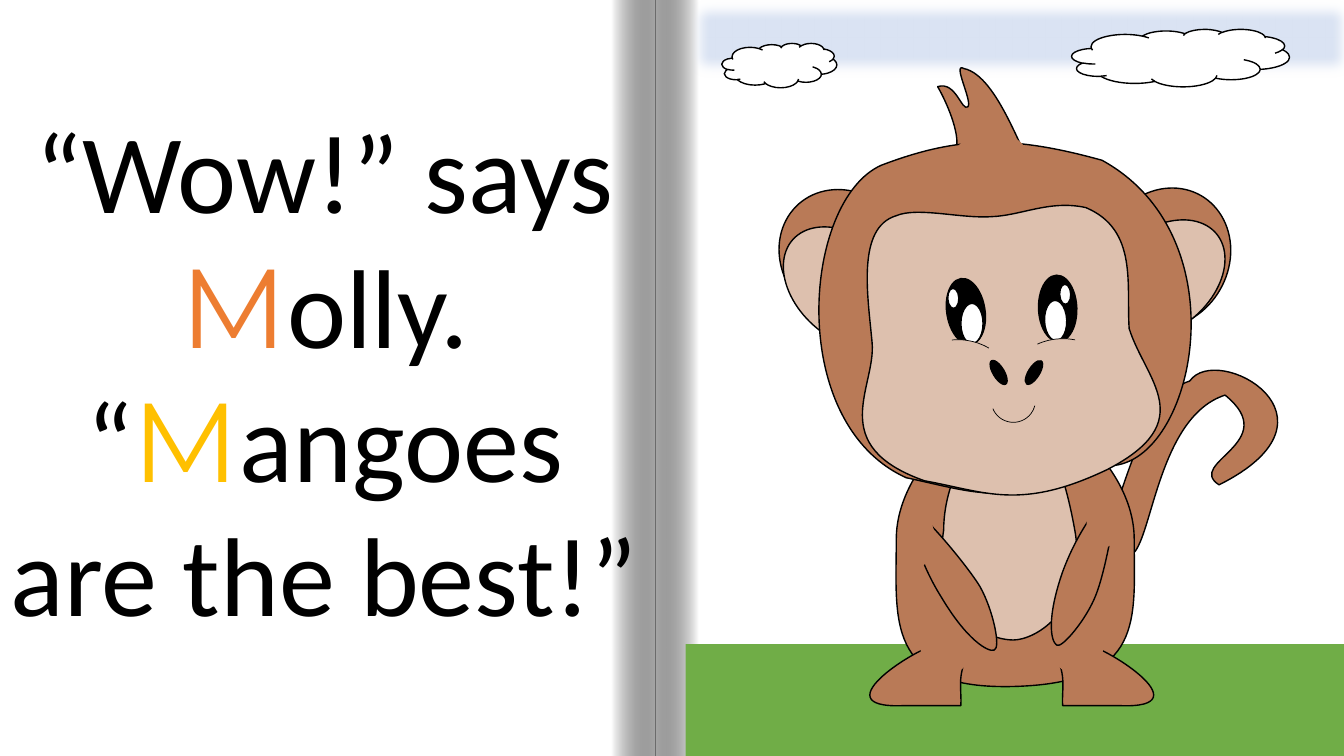
import dataclasses
import functools
import math

import lxml.etree
import pptx
import pptx.dml.color
import pptx.enum.shapes
import pptx.enum.text
import pptx.oxml.ns
import pptx.util

Inches = pptx.util.Inches
Kind = pptx.enum.shapes.MSO_SHAPE
qn = pptx.oxml.ns.qn


@dataclasses.dataclass(frozen=True)
class Theme:
    """Colours, fonts and sizes of the book."""
    black: str = "000000"
    white: str = "FFFFFF"
    sky: str = "DAE3F3"
    grass: str = "70AD47"
    fur: str = "B97A57"
    skin: str = "DDC0AE"
    orange: str = "ED7D31"
    mango: str = "FFC000"
    body_font: str = "Calibri"
    letter_font: str = "Montserrat"
    story_size: int = 80
    ink: float = 1
    fine_ink: float = 0.5


THEME = Theme()


def rgb(color):
    """Return the colour object of a hex string."""
    return pptx.dml.color.RGBColor.from_string(color)


def paint(part, color, edge=None, weight=THEME.ink):
    """Give a part a flat fill, an outline or none, and no shadow."""
    part.shadow.inherit = False
    if color:
        part.fill.solid()
        part.fill.fore_color.rgb = rgb(color)
    else:
        part.fill.background()
    if edge:
        part.line.color.rgb = rgb(edge)
        part.line.width = pptx.util.Pt(weight)
    else:
        part.line.fill.background()
    return part


def preset(shapes, origin, place, kind, color, edge=None, turn=0, weight=THEME.ink):
    """Add a preset shape at a place measured from the origin."""
    left, top, width, height = place
    part = shapes.add_shape(kind, Inches(origin[0] + left), Inches(origin[1] + top),
                            Inches(width), Inches(height))
    part.rotation = turn
    return paint(part, color, edge, weight)


def arc(shapes, origin, place, turn, start, end, color=None):
    """Add a fine arc with its two angle adjustments."""
    curve = preset(shapes, origin, place, Kind.ARC, color, THEME.black, turn, THEME.fine_ink)
    curve.adjustments[0], curve.adjustments[1] = start, end


def unturn(point, place, turn):
    """Turn a point back about the middle of its place, measured from the place's corner."""
    left, top, width, height = place
    x, y = point[0] - left - width / 2, point[1] - top - height / 2
    cos, sin = math.cos(math.radians(turn)), math.sin(math.radians(turn))
    return Inches(x * cos + y * sin + width / 2), Inches(y * cos - x * sin + height / 2)


def outline(shapes, origin, place, turn, steps, color, edge=THEME.black):
    """Add a closed outline of corners and cubic curves, turned within its place."""
    local = [[unturn(step[i:i + 2], place, turn) for i in range(0, len(step), 2)] for step in steps]
    builder = shapes.build_freeform(*local[0][0])
    builder.add_line_segments([knots[-1] for knots in local[1:]], close=True)
    part = builder.convert_to_shape()
    left, top, width, height = place
    part.left, part.top = Inches(origin[0] + left), Inches(origin[1] + top)
    part.width, part.height = Inches(width), Inches(height)
    part.rotation = turn % 360
    path = part._element.spPr.find(".//" + qn("a:path"))
    path.set("w", str(Inches(width)))
    path.set("h", str(Inches(height)))
    for segment in list(path):
        path.remove(segment)
    for index, knots in enumerate(local):
        tag = "a:moveTo" if index == 0 else "a:lnTo" if len(knots) == 1 else "a:cubicBezTo"
        segment = lxml.etree.SubElement(path, qn(tag))
        for x, y in knots:
            lxml.etree.SubElement(segment, qn("a:pt"), x=str(x), y=str(y))
    lxml.etree.SubElement(path, qn("a:close"))
    paint(part, color, edge)


def mirror(place, turn, steps, axis=10.035):
    """Reflect an outline across the middle of the body."""
    left, top, width, height = place
    reflected = [tuple(2 * axis - n if i % 2 == 0 else n for i, n in enumerate(step)) for step in steps]
    return (2 * axis - left - width, top, width, height), -turn, reflected


def draw_paper(slide, box):
    """Draw the white spread with the shaded fold in its middle."""
    left, top, width, height = box
    shapes = slide.shapes.add_group_shape().shapes
    preset(shapes, (left, top), (0, 0, width, height), Kind.RECTANGLE, THEME.white)
    fold, shade = 6.51, 0.43
    for offset, angle in ((fold, 180), (fold - shade, 0)):
        side = preset(shapes, (left, top), (offset, 0, shade, height), Kind.RECTANGLE, THEME.white)
        side.fill.gradient()
        side.fill.gradient_angle = angle
        for stop, color, position in zip(side.fill.gradient_stops, (THEME.white, THEME.black), (0, 1)):
            stop.color.rgb = rgb(color)
            stop.position = position
        dark = side._element.spPr.findall(qn("a:gradFill") + "//" + qn("a:srgbClr"))[-1]
        lxml.etree.SubElement(dark, qn("a:alpha"), val="34000")


def write_story(slide, box):
    """Write the story with its coloured initials."""
    story = slide.shapes.add_textbox(*map(Inches, box)).text_frame
    story.word_wrap = True
    story.auto_size = pptx.enum.text.MSO_AUTO_SIZE.SHAPE_TO_FIT_TEXT
    sentence = story.paragraphs[0]
    sentence.alignment = pptx.enum.text.PP_ALIGN.CENTER
    for words, font, color in (
            ("“Wow!” says ", THEME.body_font, THEME.black),
            ("M", THEME.letter_font, THEME.orange),
            ("olly. “", THEME.body_font, THEME.black),
            ("M", THEME.letter_font, THEME.mango),
            ("angoes are the best!”", THEME.body_font, THEME.black)):
        run = sentence.add_run()
        run.text = words
        run.font.size = pptx.util.Pt(THEME.story_size)
        run.font.name = font
        run.font.color.rgb = rgb(color)


def draw_scenery(slide, box):
    """Draw the sky, two clouds and the grass."""
    left, top, width, height = box
    add = functools.partial(preset, slide.shapes, (left, top))
    sky = add((0, -0.05, width, 0.85), Kind.RECTANGLE, THEME.sky, THEME.sky)
    effects = sky._element.spPr.find(qn("a:effectLst"))
    lxml.etree.SubElement(effects, qn("a:softEdge"), rad="127000")
    for cloud in ((0.37, 0.43, 1.14, 0.44), (3.84, 0.29, 2.16, 0.57)):
        add(cloud, Kind.CLOUD, THEME.white, THEME.black)
    add((0.01, 6.39, width - 0.01, height - 6.39), Kind.RECTANGLE, THEME.grass)


def draw_monkey(slide, box):
    """Draw the monkey from back to front."""
    origin = box[:2]
    shapes = slide.shapes.add_group_shape().shapes
    shape = functools.partial(outline, shapes, origin)
    fur, skin, black, white = THEME.fur, THEME.skin, THEME.black, THEME.white

    def ovals(*parts):
        """Add outlined ellipses, each with place, colour and turn."""
        for place, color, turn in parts:
            preset(shapes, origin, place, Kind.OVAL, color, black, turn)

    tail = ((10.62, 3.35, 1.28, 3.59), 225.2, [
        (10.1, 6.41), (10.3, 6.73), (11.12, 6.5, 11.14, 5.92, 11.24, 5.49),
        (11.43, 5.31, 11.5, 4.13, 12.15, 3.92), (12.73, 4.39, 11.75, 4.59, 12.09, 4.81),
        (13.43, 4.14, 12.07, 3.39, 11.8, 3.78), (11.01, 4.02, 10.97, 6.74, 10.1, 6.41)])
    body = ((8.88, 3.89, 2.36, 2.92), 0, [
        (11.25, 5.35), (11.25, 4.54, 10.25, 3.91, 10.07, 3.89), (9.89, 3.87, 8.89, 4.54, 8.89, 5.35),
        (8.89, 6.15, 8.77, 6.85, 10.07, 6.81), (11.36, 6.77, 11.25, 6.15, 11.25, 5.35)])
    belly = ((9.34, 4.06, 1.34, 2.3), 0, [
        (10.66, 5.26), (10.52, 4.47, 10.27, 4.06, 10.05, 4.06), (9.83, 4.06, 9.36, 4.63, 9.36, 5.26),
        (9.22, 6.15, 9.83, 6.35, 10.05, 6.35), (10.27, 6.35, 10.8, 6.05, 10.66, 5.26)])
    tuft = ((9.16, 0.75, 1.14, 1.35), 16.4, [
        (10.26, 1.67), (10.16, 1.63, 9.91, 0.75, 9.56, 0.68), (9.44, 0.61, 9.65, 1.01, 9.6, 1.06),
        (9.54, 1.11, 9.48, 0.8, 9.3, 0.86), (9.36, 0.96, 9.51, 1.27, 9.49, 1.45),
        (9.15, 1.96), (10.09, 2.23), (10.26, 1.67)])
    for part, color in ((tail, fur), (body, fur), (belly, skin), (tuft, fur)):
        shape(*part, color)

    ovals(((10.84, 1.93, 1.43, 1.26), fur, 299.8), ((10.8, 2.28, 1.43, 0.99), skin, 320.5),
          ((7.68, 1.93, 1.43, 1.26), fur, 48.6), ((7.68, 2.36, 1.43, 0.99), skin, 42.1))

    head = ((8.12, 1.4, 3.68, 3.49), 356.6, [
        (10.93, 1.59), (10.03, 1.34, 9.5, 1.35, 8.74, 1.64), (7.96, 1.99, 7.79, 4.2, 8.99, 4.74),
        (9.66, 4.88, 10, 5.05, 10.97, 4.62), (11.83, 4.67, 12.35, 2.37, 10.93, 1.59)])
    face = ((8.5, 2.03, 2.95, 2.88), 355, [
        (10.77, 2.06), (10.41, 1.98, 10.13, 2.14, 9.83, 2.15), (9.53, 2.17, 9.1, 2.05, 8.89, 2.14),
        (8.49, 2.26, 8.61, 2.95, 8.65, 3.4), (8.69, 3.84, 8.18, 4.42, 9.17, 4.77),
        (9.78, 4.88, 10.12, 5.07, 10.98, 4.66), (11.91, 4.18, 11.36, 3.77, 11.2, 3.26),
        (11.17, 2.83, 11.29, 2.28, 10.77, 2.06)])
    shape(*head, fur)
    shape(*face, skin)

    ovals(((9.39, 2.76, 0.38, 0.66), black, 351.2), ((10.3, 2.73, 0.38, 0.66), black, 357.9),
          ((10.36, 2.98, 0.22, 0.4), white, 357.9), ((9.53, 3.01, 0.22, 0.4), white, 0))

    crown = ((9.43, 1.32, 0.78, 0.66), 345.7, [
        (10.2, 1.56), (10.16, 1.38, 10.02, 1.3, 9.74, 1.34), (9.46, 1.37, 9.4, 1.58, 9.45, 1.75),
        (9.49, 1.93, 9.7, 2.03, 9.9, 1.98), (10.11, 1.92, 10.25, 1.74, 10.2, 1.56)])
    shape(*crown, fur, None)
    ovals(*(((nostril, 3.56, 0.11, 0.27), black, turn) for nostril, turn in ((9.85, 328.7), (10.2, 32.2))))

    foot = ((8.63, 6.39, 0.97, 0.61), 0, [
        (9.33, 6.39), (9.6, 6.49), (9.49, 6.72, 9.54, 6.83, 9.53, 7), (8.97, 7),
        (8.08, 7.04, 9.19, 6.36, 9.33, 6.39)])
    ankle = ((9.14, 6.18, 0.49, 0.52), 329.4, [
        (9.17, 6.56), (9.1, 6.44, 9.11, 6.33, 9.25, 6.22), (9.39, 6.1, 9.52, 6.19, 9.59, 6.32),
        (9.66, 6.44, 9.63, 6.59, 9.51, 6.66), (9.4, 6.73, 9.24, 6.69, 9.17, 6.56)])
    for part, edge in ((foot, black), (ankle, None)):
        shape(*part, fur, edge)
        shape(*mirror(*part), fur, edge)

    ovals(*(((*glint, 0.11, 0.2), white, 357.9) for glint in ((10.51, 2.82), (9.4, 2.86))))
    arc(shapes, origin, (8.89, 3.37, 1.22, 1.22), 308.1, 189.76, 211.3, skin)
    arc(shapes, origin, (9.93, 3.36, 1.22, 1.22), 57.9, 112.7, 134.24, skin)

    left_arm = ((9.26, 4.96, 0.39, 1.59), 328.8, [
        (9.72, 5.82), (9.58, 5.59, 9.12, 5.05, 9.06, 5.07), (9, 5.09, 9.08, 5.52, 9.34, 5.93),
        (9.59, 6.35, 9.8, 6.47, 9.86, 6.45), (9.93, 6.43, 9.85, 6.05, 9.72, 5.82)])
    right_arm = ((10.56, 4.86, 0.39, 1.59), 20, [
        (10.87, 5.9), (10.97, 5.65, 11.1, 4.95, 11.04, 4.91), (10.99, 4.88, 10.71, 5.21, 10.54, 5.67),
        (10.38, 6.13, 10.42, 6.36, 10.48, 6.4), (10.53, 6.44, 10.78, 6.14, 10.87, 5.9)])
    right_shoulder = ((10.79, 4.79, 0.36, 0.65), 11, [
        (10.78, 5.16), (10.8, 5.05, 10.96, 4.79, 11.02, 4.8), (11.08, 4.8, 11.18, 4.99, 11.14, 5.19),
        (11.1, 5.38, 10.98, 5.45, 10.92, 5.44), (10.86, 5.44, 10.76, 5.27, 10.78, 5.16)])
    left_shoulder = ((8.92, 4.99, 0.36, 0.65), 0, [
        (9.28, 5.39), (9.29, 5.28, 9.18, 4.99, 9.12, 4.99), (9.06, 4.98, 8.92, 5.15, 8.92, 5.35),
        (8.92, 5.55, 9.03, 5.63, 9.09, 5.64), (9.15, 5.65, 9.28, 5.5, 9.28, 5.39)])
    for part, edge in ((left_arm, black), (right_arm, black), (right_shoulder, None), (left_shoulder, None)):
        shape(*part, fur, edge)
    arc(shapes, origin, (9.83, 3.75, 0.44, 0.44), 157.5, 130.12, 0)


book = pptx.Presentation()
book.slide_width, book.slide_height = Inches(13.33), Inches(7.5)
spread = book.slides.add_slide(book.slide_layouts[6])
spread.background.fill.solid()
spread.background.fill.fore_color.rgb = rgb(THEME.black)
draw_paper(spread, (-0.01, 0, 13.47, 7.5))
write_story(spread, (-0.03, 0.96, 6.5, 5.49))
draw_scenery(spread, (6.79, 0, 6.67, 8.67))
draw_monkey(spread, (0, 0, 13.33, 7.5))
book.save("out.pptx")
